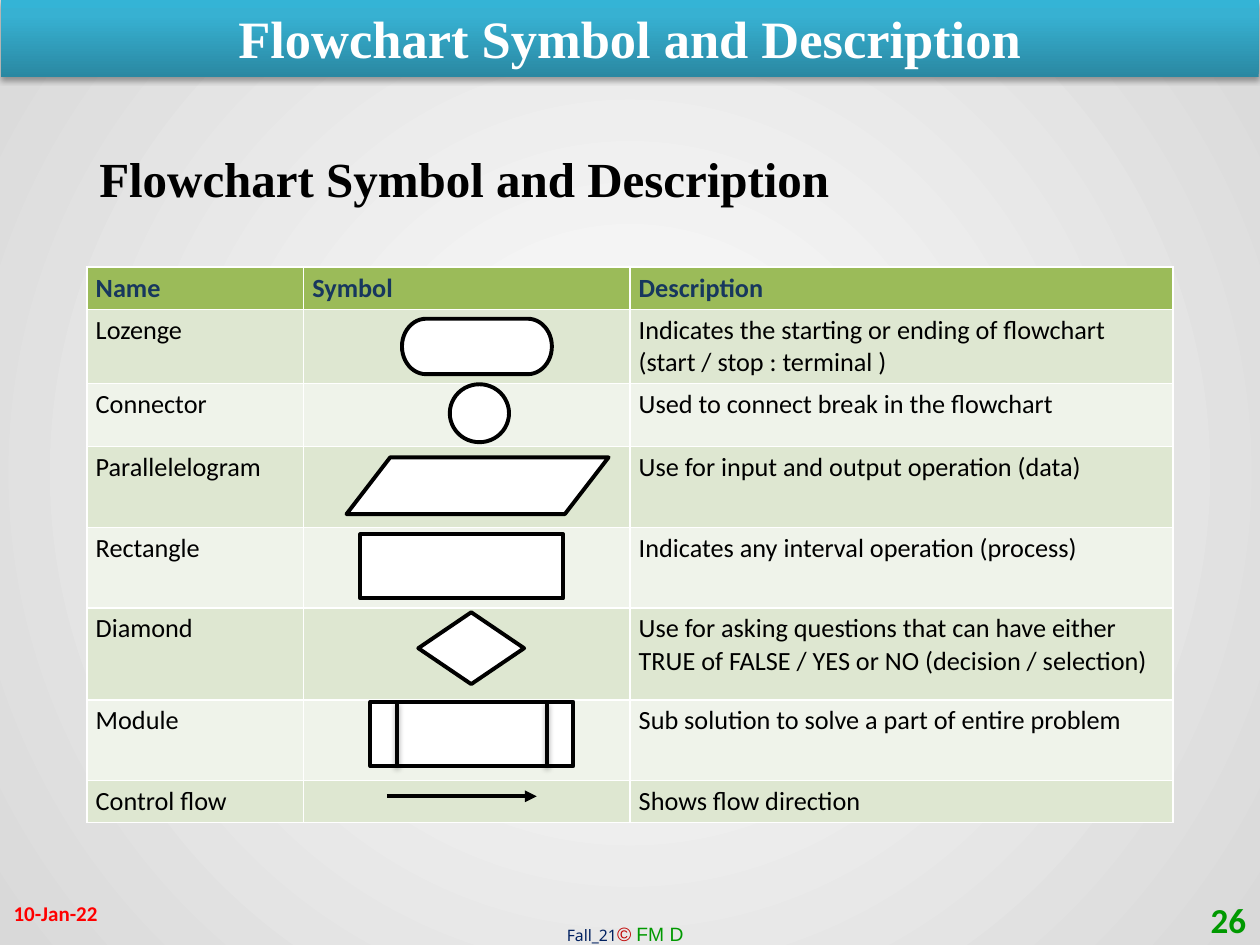
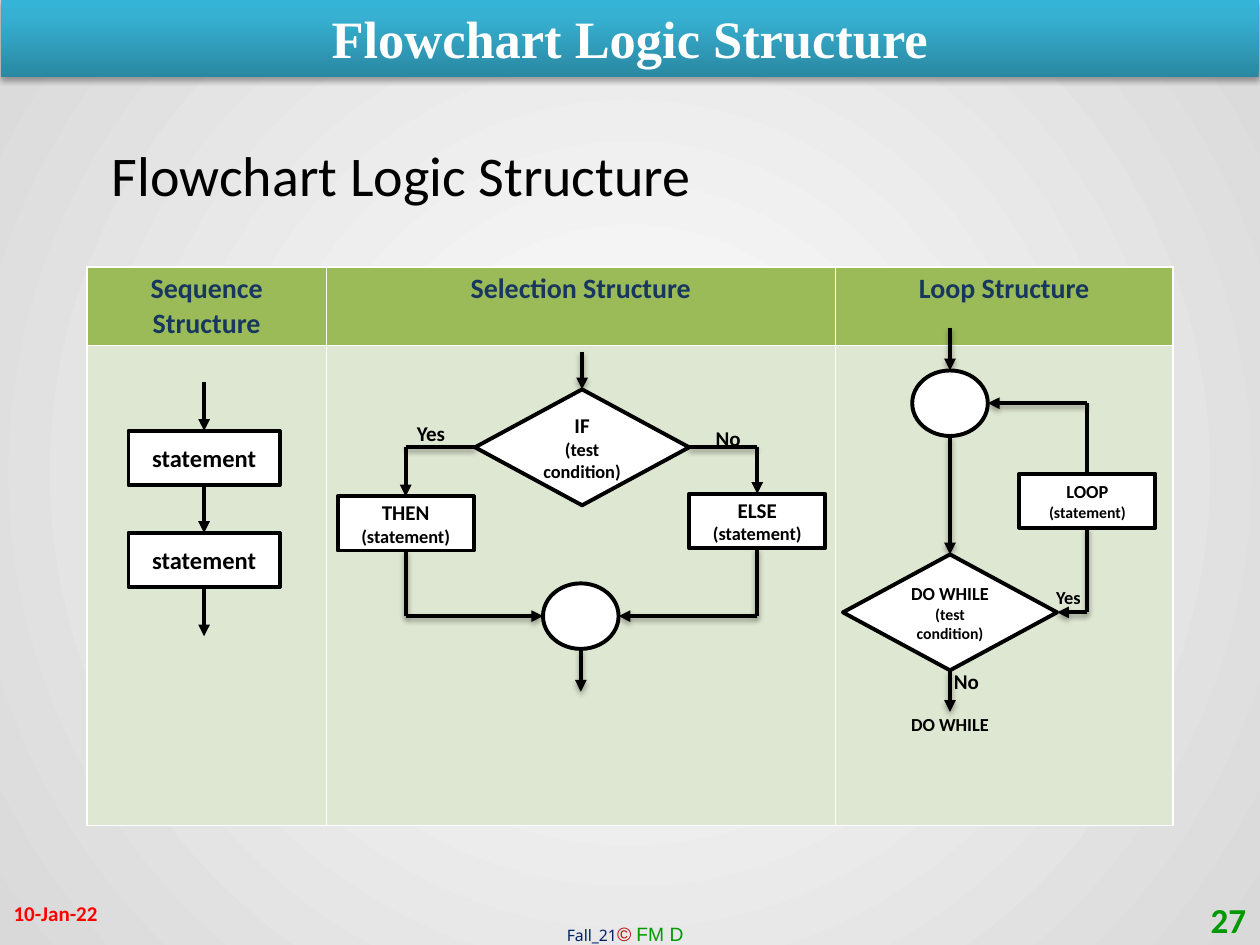
import copy

import pptx
import pptx.dml.color
import pptx.enum.shapes
import pptx.enum.text
import pptx.oxml.ns
import pptx.util
from lxml import etree

Inches, Pt = pptx.util.Inches, pptx.util.Pt
RGB = pptx.dml.color.RGBColor.from_string
qn = pptx.oxml.ns.qn
PRESET = pptx.enum.shapes.MSO_SHAPE
ALIGN = pptx.enum.text.PP_ALIGN
ANCHOR = pptx.enum.text.MSO_ANCHOR

COLORS = {
    "white": "FFFFFF", "black": "000000", "backdrop": "D9D9D9",
    "bar_low": "2A88A2", "bar_mid": "37B1D2", "bar_top": "34B4D6",
    "header": "9BBB59", "header_text": "17375E",
    "row_dark": "DEE7D1", "row_light": "EFF3EA",
    "navy": "002060", "crimson": "C00000", "green": "009900", "red": "FF0000",
}
SERIF = "Times New Roman"

shapes = {}     # flowchart shapes by name
shadowed = []   # shape properties that get a drop shadow


def write(p, text, size=12, color="black", font="Calibri", bold=False,
          italic=False, align=ALIGN.LEFT):
    """Append one formatted run to a paragraph."""
    p.alignment = align
    r = p.add_run()
    r.text = text
    r.font.size, r.font.name = Pt(size), font
    r.font.bold, r.font.italic = bold, italic
    r.font.color.rgb = RGB(COLORS[color])


def connect(slide, begin, end, arrow=True, shadow=True):
    """Draw a line; each end is an (x, y) point or a (shape name, side) pair."""
    points = [(0, 0) if isinstance(e[0], str) else e for e in (begin, end)]
    cxn = slide.shapes.add_connector(
        pptx.enum.shapes.MSO_CONNECTOR.STRAIGHT,
        *(Inches(v) for point in points for v in point))
    if isinstance(begin[0], str):
        cxn.begin_connect(shapes[begin[0]], begin[1])
    if isinstance(end[0], str):
        cxn.end_connect(shapes[end[0]], end[1])
    cxn.line.width = Pt(2.25)
    cxn.line.color.rgb = RGB(COLORS["black"])
    sp_pr = cxn.element.spPr
    if arrow:
        etree.SubElement(sp_pr.find(qn("a:ln")), qn("a:tailEnd"), type="triangle")
    etree.SubElement(sp_pr, qn("a:effectLst"))
    if shadow:
        shadowed.append(sp_pr)


prs = pptx.Presentation()
prs.slide_width, prs.slide_height = Inches(10), Inches(7.5)

# Radial background shared by all slides
master = prs.slide_master
fill = master.background.fill
fill.gradient()
for stop, color in zip(fill.gradient_stops, ("white", "backdrop")):
    stop.color.rgb = RGB(COLORS[color])
grad = master.element.find(".//" + qn("a:gradFill"))
radial = etree.Element(qn("a:path"), path="circle")
etree.SubElement(radial, qn("a:fillToRect"), l="50000", t="50000", r="50000", b="50000")
grad.replace(grad.find(qn("a:lin")), radial)

symbols, structures = [prs.slides.add_slide(prs.slide_layouts[6]) for _ in range(2)]

# Tables
symbol_rows = [
    ("Name", "Symbol", "Description"),
    ("Lozenge", "", "Indicates the starting or ending of flowchart (start / stop : terminal )"),
    ("Connector", "", "Used to connect break in the flowchart"),
    ("Parallelelogram", "", "Use for input and output operation (data)"),
    ("Rectangle", "", "Indicates any interval operation (process)"),
    ("Diamond", "", "Use for asking questions that can have either "
                    "TRUE of FALSE / YES or NO (decision / selection)"),
    ("Module", "", "Sub solution to solve a part of entire problem"),
    ("Control flow", "", "Shows flow direction"),
]
structure_rows = [("Sequence Structure", "Selection Structure", "Loop Structure"),
                  ("", "", "")]
tables = [
    (symbols, symbol_rows, (1.72, 2.59, 4.31),
     (0.33, 0.57, 0.5, 0.64, 0.64, 0.73, 0.64, 0.33), 15, ALIGN.LEFT),
    (structures, structure_rows, (1.9, 4.04, 2.68), (0.61, 3.81), 16, ALIGN.CENTER),
]
for slide, rows, widths, heights, size, align in tables:
    table = slide.shapes.add_table(
        len(rows), len(widths), Inches(0.69), Inches(2.12),
        Inches(sum(widths)), Inches(sum(heights))).table
    for column, width in zip(table.columns, widths):
        column.width = Inches(width)
    for i, (row, height) in enumerate(zip(rows, heights)):
        table.rows[i].height = Inches(height)
        row_fill = "header" if i == 0 else ("row_light", "row_dark")[i % 2]
        for j, text in enumerate(row):
            cell = table.cell(i, j)
            cell.fill.solid()
            cell.fill.fore_color.rgb = RGB(COLORS[row_fill])
            cell.margin_left = cell.margin_right = Inches(0.07)
            cell.margin_top = cell.margin_bottom = Inches(0.04)
            p = cell.text_frame.paragraphs[0]
            if text:
                write(p, text, size=size, bold=i == 0, align=align,
                      color="header_text" if i == 0 else "black")
            else:
                etree.SubElement(p._p, qn("a:endParaRPr"), sz=str(size * 100))

# Flowchart shapes: slide, name, preset, box, (text, size) lines
flow_shapes = [
    (symbols, "terminal", PRESET.FLOWCHART_TERMINATOR, (3.19, 2.53, 1.19, 0.44), ()),
    (symbols, "connector", PRESET.OVAL, (3.57, 3.05, 0.47, 0.46), ()),
    (symbols, "data", PRESET.PARALLELOGRAM, (2.75, 3.63, 2.08, 0.45), ()),
    (symbols, "process", PRESET.RECTANGLE, (2.86, 4.24, 1.61, 0.51), ()),
    (symbols, "decision", PRESET.DIAMOND, (3.32, 4.86, 0.84, 0.57), ()),
    (symbols, "module", PRESET.RECTANGLE, (2.94, 5.57, 1.61, 0.51), ()),
    (structures, "first", PRESET.RECTANGLE, (1.02, 3.42, 1.2, 0.43), [("statement", 14)]),
    (structures, "second", PRESET.RECTANGLE, (1.02, 4.23, 1.2, 0.43), [("statement", 14)]),
    (structures, "if", PRESET.DIAMOND, (3.77, 3.09, 1.7, 0.92),
     [("IF", 12), ("(test condition)", 10.5)]),
    (structures, "then", PRESET.RECTANGLE, (2.68, 3.94, 1.08, 0.43),
     [("THEN", 12), ("(statement)", 10.5)]),
    (structures, "else", PRESET.RECTANGLE, (5.47, 3.92, 1.08, 0.43),
     [("ELSE", 12), ("(statement)", 10.5)]),
    (structures, "merge", PRESET.OVAL, (4.31, 4.63, 0.6, 0.52), ()),
    (structures, "loop start", PRESET.OVAL, (7.24, 2.94, 0.6, 0.52), ()),
    (structures, "do while", PRESET.DIAMOND, (6.69, 4.4, 1.7, 0.92),
     [("DO WHILE", 10.5), ("(test condition)", 9)]),
    (structures, "loop", PRESET.RECTANGLE, (8.09, 3.76, 1.08, 0.43),
     [("LOOP", 10.5), ("(statement)", 9)]),
]
for slide, name, preset, box, lines in flow_shapes:
    sp = slide.shapes.add_shape(preset, *map(Inches, box))
    sp.shadow.inherit = False
    sp.fill.solid()
    sp.fill.fore_color.rgb = RGB(COLORS["white"])
    sp.line.color.rgb = RGB(COLORS["black"])
    sp.line.width = Pt(2.25)
    tf = sp.text_frame
    for i, (text, size) in enumerate(lines):
        p = tf.add_paragraph() if i else tf.paragraphs[0]
        write(p, text, size=size, bold=True, align=ALIGN.CENTER)
    shapes[name] = sp
shapes["data"].adjustments[0] = 0.77

# Module bars and control flow arrow
for x in (3.15, 4.34):
    connect(symbols, (x, 5.57), (x, 6.08), arrow=False)
connect(symbols, (3.07, 6.32), (4.26, 6.32), shadow=False)

# Flow lines: begin, end, arrow, shadow
TOP, LEFT, BOTTOM, RIGHT = range(4)
flow_lines = [
    # sequence
    ((1.62, 3.03), ("first", TOP), True, False),
    (("first", BOTTOM), ("second", TOP), True, False),
    (("second", BOTTOM), (1.62, 5.05), True, False),
    # selection
    ((4.62, 2.79), ("if", TOP), True, True),
    (("if", LEFT), (3.22, 3.55), False, True),
    ((3.22, 3.55), ("then", TOP), True, False),
    (("if", RIGHT), (6.01, 3.55), False, True),
    ((6.01, 3.55), ("else", TOP), True, False),
    (("then", BOTTOM), (3.22, 4.89), False, True),
    ((3.22, 4.89), (4.31, 4.89), True, True),
    (("else", BOTTOM), (6.01, 4.89), False, True),
    ((6.01, 4.89), (4.91, 4.89), True, True),
    ((4.61, 5.15), (4.61, 5.49), True, True),
    # loop
    ((7.54, 2.6), (7.54, 2.94), True, True),
    ((7.54, 3.46), ("do while", TOP), True, True),
    (("do while", BOTTOM), (7.54, 5.65), True, True),
    (("loop", BOTTOM), (8.63, 4.86), False, True),
    ((8.63, 4.86), ("do while", RIGHT), True, True),
    (("loop", TOP), (8.63, 3.2), False, False),
    ((8.63, 3.2), (7.84, 3.2), True, True),
]
for begin, end, arrow, shadow in flow_lines:
    connect(structures, begin, end, arrow, shadow)

# Text boxes: slide, box, anchor, runs
label = dict(bold=True, align=ALIGN.CENTER)
text_boxes = [
    (symbols, (0.69, 1.13, 7, 0.57), ANCHOR.TOP,
     [("Flowchart Symbol and Description", dict(size=28, font=SERIF, bold=True))]),
    (structures, (0.79, 1.07, 7, 0.64), ANCHOR.TOP,
     [("Flowchart Logic Structure", dict(size=32))]),
]
for text, x, y, size in [("Yes", 3.12, 3.29, 12), ("No", 5.48, 3.33, 12),
                         ("No", 7.37, 5.26, 12), ("Yes", 8.18, 4.6, 10.5),
                         ("DO WHILE", 7.04, 5.61, 10.5)]:
    width = 1 if text == "DO WHILE" else 0.6
    text_boxes.append((structures, (x, y, width, 0.3), ANCHOR.TOP,
                       [(text, dict(label, size=size))]))

# Title bar and footers on every slide
for slide, title, number in [(symbols, "Flowchart Symbol and Description", "26"),
                             (structures, "Flowchart Logic Structure", "27")]:
    bar = slide.shapes.add_shape(PRESET.RECTANGLE, Inches(0.01), 0, Inches(9.98), Inches(0.61))
    bar.line.fill.background()
    bar.fill.gradient()
    bar.fill.gradient_angle = 90
    stops = bar.element.spPr.find(".//" + qn("a:gsLst"))
    stops.insert(1, copy.deepcopy(stops[0]))
    for stop, position, color in zip(bar.fill.gradient_stops, (0, 0.8, 1),
                                     ("bar_low", "bar_mid", "bar_top")):
        stop.position = position
        stop.color.rgb = RGB(COLORS[color])
    bar.shadow.inherit = False
    shadowed.append(bar.element.spPr)
    bar.text_frame.vertical_anchor = ANCHOR.TOP
    write(bar.text_frame.paragraphs[0], title, size=30, color="white",
          font=SERIF, bold=True, align=ALIGN.CENTER)
    text_boxes += [
        (slide, (4.4, 7.27, 1.5, 0.29), ANCHOR.TOP,
         [("Fall_21", dict(size=9, color="navy", font="Noto Sans")),
          ("© ", dict(size=11, color="crimson", font="Arial", italic=True)),
          ("FM D", dict(size=11, color="green", font="Arial"))]),
        (slide, (7.66, 7.1, 2.33, 0.4), ANCHOR.MIDDLE,
         [(number, dict(size=20, color="green", bold=True, align=ALIGN.RIGHT))]),
        (slide, (0.01, 7.05, 2.33, 0.4), ANCHOR.MIDDLE,
         [("10-Jan-22", dict(color="red", bold=True))]),
    ]

for slide, box, anchor, runs in text_boxes:
    tf = slide.shapes.add_textbox(*map(Inches, box)).text_frame
    tf.word_wrap = True
    tf.vertical_anchor = anchor
    for text, fmt in runs:
        write(tf.paragraphs[0], text, **fmt)

for sp_pr in shadowed:
    drop = etree.SubElement(sp_pr.find(qn("a:effectLst")), qn("a:outerShdw"),
                            blurRad=str(Pt(3.1)), dist=str(Pt(1.8)),
                            dir="5400000", rotWithShape="0")
    tint = etree.SubElement(drop, qn("a:srgbClr"), val=COLORS["black"])
    etree.SubElement(tint, qn("a:alpha"), val="35000")

prs.save("out.pptx")
